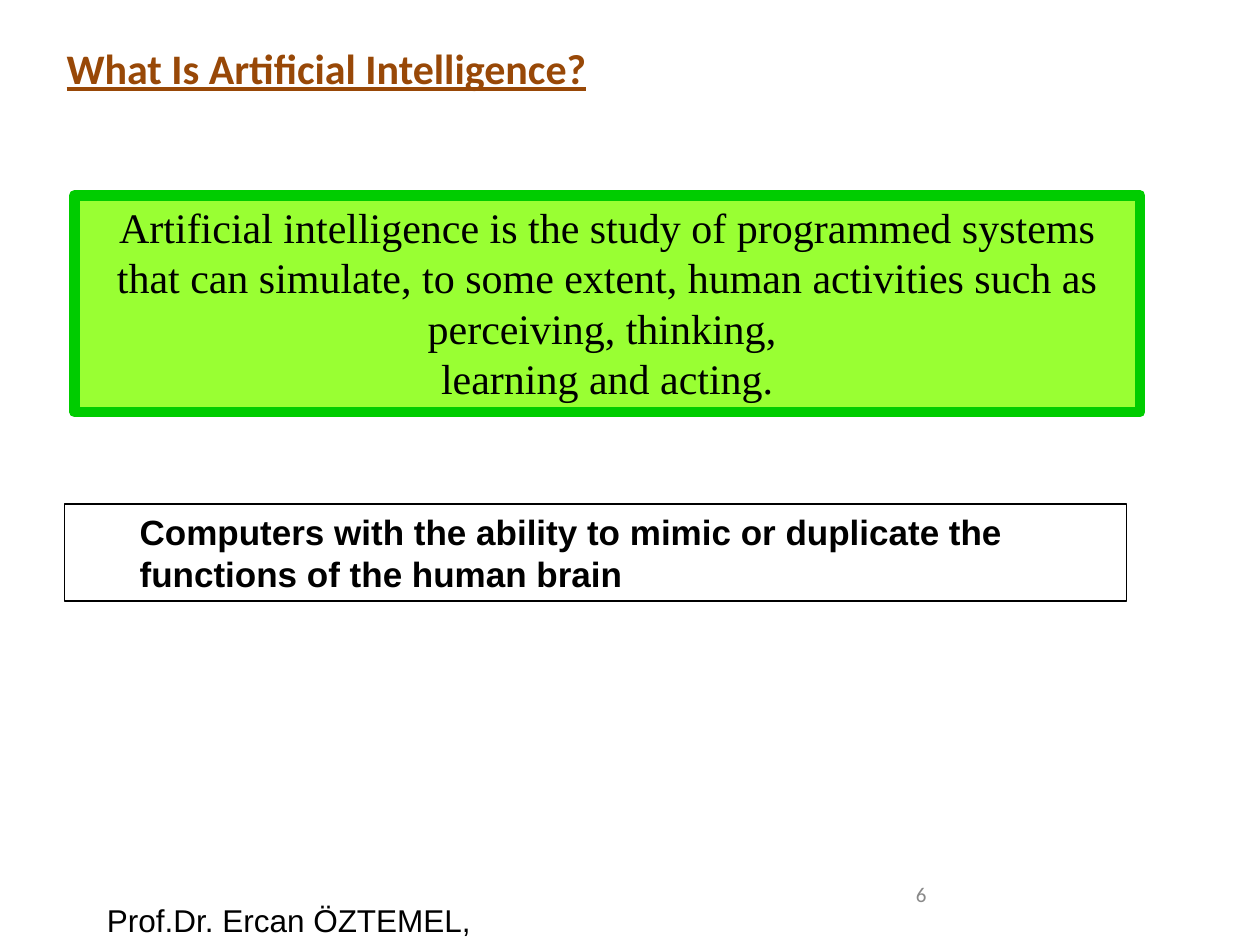
"""Build the slide that defines artificial intelligence."""
from dataclasses import dataclass

from pptx import Presentation
from pptx.dml.color import RGBColor
from pptx.enum.shapes import MSO_SHAPE
from pptx.enum.text import MSO_ANCHOR, MSO_AUTO_SIZE, PP_ALIGN
from pptx.util import Inches, Pt

RECTANGLE = MSO_SHAPE.RECTANGLE
TOP = MSO_ANCHOR.TOP
FIT_SHAPE = MSO_AUTO_SIZE.SHAPE_TO_FIT_TEXT
FIXED = MSO_AUTO_SIZE.NONE
LEFT, CENTER = PP_ALIGN.LEFT, PP_ALIGN.CENTER


@dataclass(frozen=True)
class Theme:
    """Colours and text formats of the slide."""

    black = RGBColor.from_string("000000")
    brown = RGBColor.from_string("984807")
    lime = RGBColor.from_string("99FF33")
    green = RGBColor.from_string("00CC00")
    gray = RGBColor.from_string("898989")
    title = {"name": "Calibri", "size": Pt(24), "bold": True, "underline": True}
    definition = {"name": "Times New Roman", "size": Pt(24)}
    summary = {"name": "Arial", "size": Pt(20), "bold": True}
    author = {"name": "Arial", "size": Pt(18)}
    number = {"name": "Calibri", "size": Pt(12)}


THEME = Theme()


def write_text(box, text, formats, color, align=LEFT, wrap=True, fit=FIT_SHAPE):
    """Fill a box with one formatted paragraph and return the paragraph."""
    frame = box.text_frame
    settings = {"word_wrap": wrap, "auto_size": fit, "vertical_anchor": TOP}
    for name, value in settings.items():
        setattr(frame, name, value)
    para = frame.paragraphs[0]
    para.text = text
    para.alignment = align
    for span in para.runs:
        for name, value in formats.items():
            setattr(span.font, name, value)
        span.font.color.rgb = color
    return para


def add_label(page, place, text, formats, color, **layout):
    """Add a plain text box."""
    box = page.shapes.add_textbox(*map(Inches, place))
    write_text(box, text, formats, color, **layout)


def add_panel(page, place, line_color, line_width, fill=None):
    """Add an outlined rectangle, filled when a colour is given."""
    panel = page.shapes.add_shape(RECTANGLE, *map(Inches, place))
    panel.shadow.inherit = False
    panel.line.color.rgb = line_color
    panel.line.width = Pt(line_width)
    if fill is None:
        panel.fill.background()
    else:
        panel.fill.solid()
        panel.fill.fore_color.rgb = fill
    return panel


def main():
    """Build and save the deck."""
    deck = Presentation()
    deck.slide_width, deck.slide_height = Inches(10), Inches(7.5)
    page = deck.slides.add_slide(deck.slide_layouts[6])

    add_label(page, (0.75, 7.1, 3.19, 0.4), "Prof.Dr. Ercan ÖZTEMEL,",
              THEME.author, THEME.black, wrap=False)
    add_label(page, (0.43, 0.29, 4.36, 0.5), "What Is Artificial Intelligence?",
              THEME.title, THEME.brown, wrap=False)

    definition = add_panel(page, (0.59, 1.55, 8.46, 1.72), THEME.green, 6, THEME.lime)
    write_text(definition,
               "Artificial intelligence is the study of programmed systems that can "
               "simulate, to some extent, human activities such as perceiving, "
               "thinking, \nlearning and acting.",
               THEME.definition, THEME.black, align=CENTER)

    summary = add_panel(page, (0.51, 4, 8.43, 0.77), THEME.black, 0.75)
    para = write_text(summary,
                      "Computers with the ability to mimic or duplicate the "
                      "functions of the human brain",
                      THEME.summary, THEME.black)
    para.level = 1
    para._p.get_or_add_pPr().set("marL", str(Inches(0.5)))

    add_label(page, (7.17, 6.95, 2.33, 0.4), "6",
              THEME.number, THEME.gray, fit=FIXED)
    deck.save("out.pptx")


if __name__ == "__main__":
    main()
